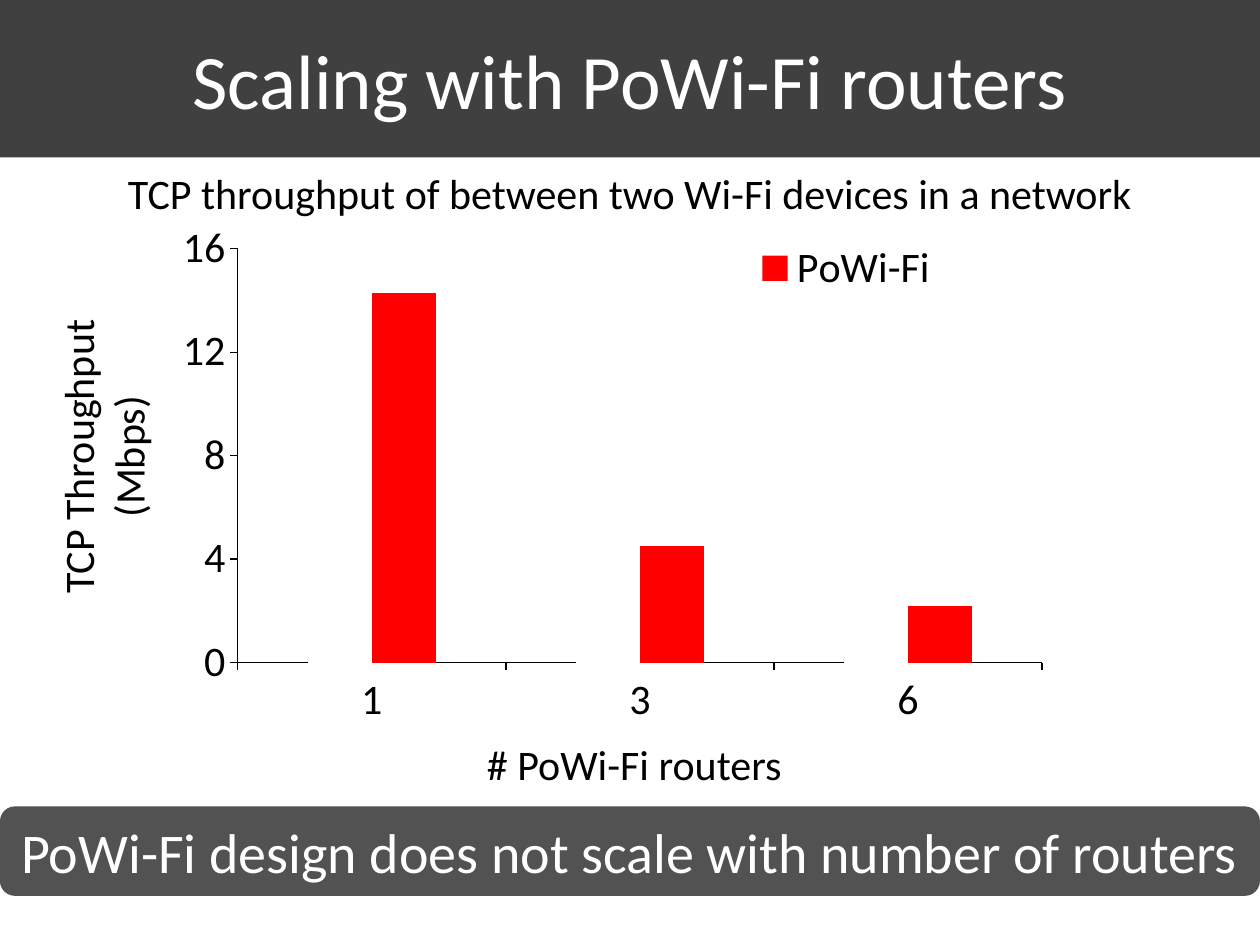
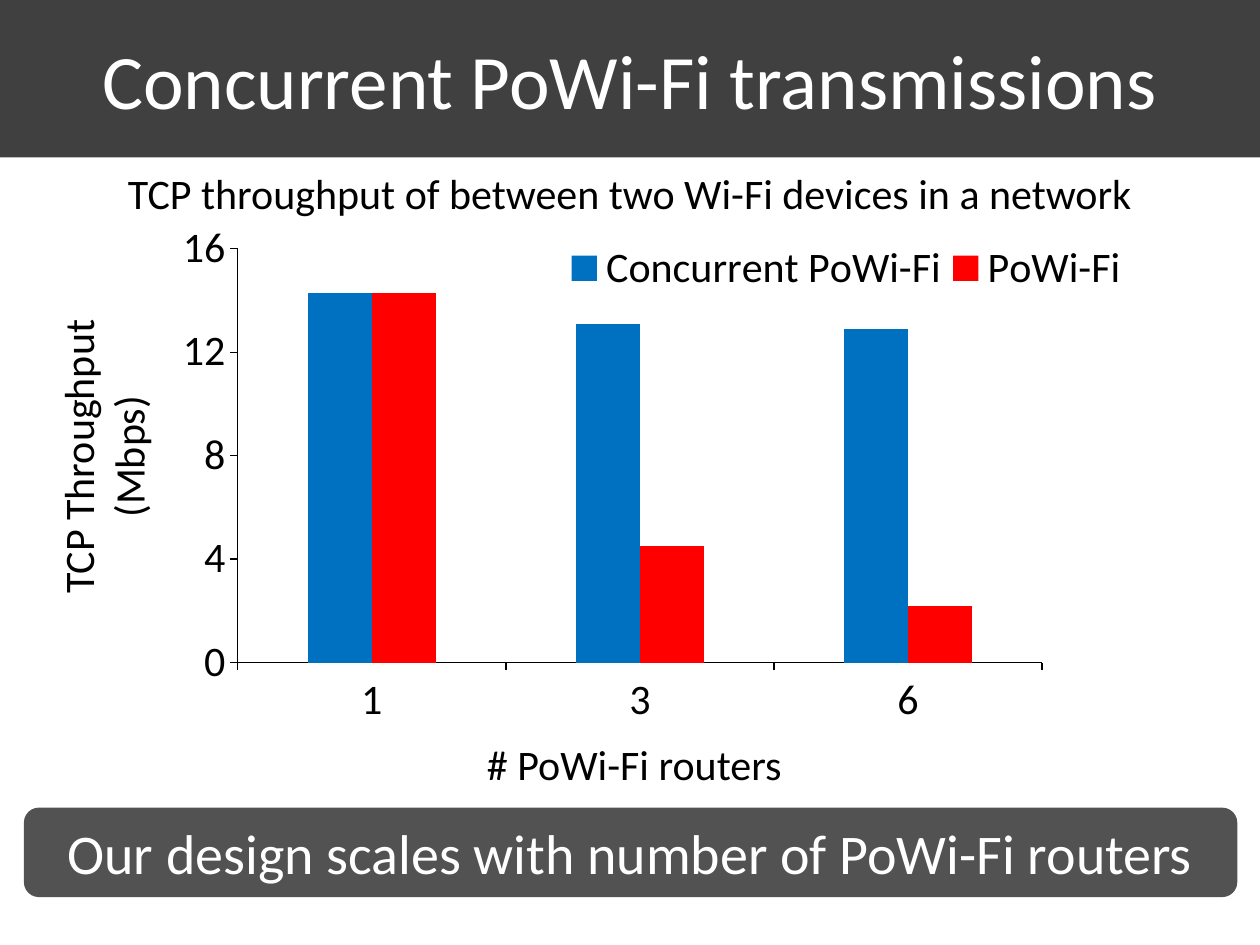
from dataclasses import dataclass

from lxml import etree
from pptx import Presentation
from pptx.chart.data import CategoryChartData
from pptx.dml.color import RGBColor
from pptx.enum.chart import XL_CHART_TYPE as ChartType
from pptx.enum.chart import XL_LEGEND_POSITION as LegendPos
from pptx.enum.chart import XL_TICK_MARK as Tick
from pptx.enum.shapes import MSO_SHAPE as Shape
from pptx.enum.text import MSO_ANCHOR as Anchor
from pptx.enum.text import MSO_AUTO_SIZE as AutoSize
from pptx.enum.text import PP_ALIGN as Align
from pptx.oxml import parse_xml
from pptx.oxml.ns import qn
from pptx.util import Emu, Pt

PX = 9144  # EMU per px, 100 px to the inch


@dataclass(frozen=True)
class Theme:
    font: str = "Calibri"
    dark: str = "404040"
    white: str = "FFFFFF"
    black: str = "000000"
    red: str = "FF0000"
    blue: str = "0070C0"
    title_pt: int = 44
    banner_pt: int = 32
    label_pt: int = 24
    chart_pt: int = 10
    axis_pt: float = 0.75
    banner_alpha: int = 90


@dataclass(frozen=True)
class Box:
    x: int
    y: int
    w: int
    h: int

    def emu(self) -> list[Emu]:
        return [Emu(v * PX) for v in (self.x, self.y, self.w, self.h)]


@dataclass(frozen=True)
class Label:
    text: str
    box: Box
    rotation: int = 0


@dataclass(frozen=True)
class Series:
    name: str
    values: tuple[float, ...]
    color: str
    in_legend: bool = True


@dataclass(frozen=True)
class ResultSlide:
    title: str
    series: tuple[Series, ...]
    takeaway: str
    banner: Box


THEME = Theme()
TITLE_BOX = Box(0, 0, 1000, 125)
CHART_BOX = Box(101, 153, 798, 444)
ROUTER_COUNTS = (1, 3, 6)

# Fractions of the chart: x, y, width, height
PLOT_AREA = (0.11, 0.1, 0.8, 0.74)
LEGEND_AREA = (0.43, 0.07, 0.57, 0.13)

LABELS = (
    Label("TCP throughput of between two Wi-Fi devices in a network", Box(0, 128, 1000, 50)),
    Label("TCP Throughput (Mbps)", Box(-77, 317, 318, 91), 270),
    Label("# PoWi-Fi routers", Box(250, 581, 507, 50)),
)

CONCURRENT = (14.3, 13.1, 12.9)
POWIFI = Series("PoWi-Fi", (14.3, 4.5, 2.2), THEME.red)

SLIDES = (
    ResultSlide(
        "Scaling with PoWi-Fi routers",
        (Series("Series 1", CONCURRENT, THEME.white, in_legend=False), POWIFI),
        "PoWi-Fi design does not scale with number of routers",
        Box(0, 640, 1000, 71),
    ),
    ResultSlide(
        "Concurrent PoWi-Fi transmissions",
        (Series("Concurrent PoWi-Fi", CONCURRENT, THEME.blue), POWIFI),
        "Our design scales with number of PoWi-Fi routers",
        Box(19, 641, 963, 71),
    ),
)


def rgb(color: str) -> RGBColor:
    return RGBColor.from_string(color)


def set_font(font, size: float, color: str) -> None:
    font.name, font.size = THEME.font, Pt(size)
    font.color.rgb = rgb(color)


def fill_solid(sp, color: str) -> None:
    sp.fill.solid()
    sp.fill.fore_color.rgb = rgb(color)
    sp.line.fill.background()


def write(sp, text: str, size: int, color: str, anchor: Anchor = Anchor.MIDDLE) -> None:
    tf = sp.text_frame
    tf.word_wrap, tf.auto_size, tf.vertical_anchor = True, AutoSize.NONE, anchor
    p = tf.paragraphs[0]
    p.alignment = Align.CENTER
    r = p.add_run()
    r.text = text
    set_font(r.font, size, color)


def add_title(slide, text: str) -> None:
    sp = slide.shapes.title
    sp.left, sp.top, sp.width, sp.height = TITLE_BOX.emu()
    fill_solid(sp, THEME.dark)
    write(sp, text, THEME.title_pt, THEME.white)


def add_label(slide, label: Label) -> None:
    sp = slide.shapes.add_textbox(*label.box.emu())
    sp.rotation = label.rotation
    write(sp, label.text, THEME.label_pt, THEME.black, Anchor.TOP)


def add_banner(slide, text: str, box: Box) -> None:
    sp = slide.shapes.add_shape(Shape.ROUNDED_RECTANGLE, *box.emu())
    sp.shadow.inherit = False
    fill_solid(sp, THEME.dark)
    clr = sp._element.spPr.find(f"{qn('a:solidFill')}/{qn('a:srgbClr')}")
    etree.SubElement(clr, qn("a:alpha"), val=str(THEME.banner_alpha * 1000))
    write(sp, text, THEME.banner_pt, THEME.white)


def chart_xml(tag: str, body: str):
    ns = "http://schemas.openxmlformats.org/drawingml/2006/chart"
    return parse_xml(f'<c:{tag} xmlns:c="{ns}">{body}</c:{tag}>')


def manual_layout(area: tuple[float, ...], target: str = ""):
    modes = '<c:xMode val="edge"/><c:yMode val="edge"/>'
    sizes = "".join(f'<c:{k} val="{v}"/>' for k, v in zip("xywh", area))
    return chart_xml("layout", f"<c:manualLayout>{target}{modes}{sizes}</c:manualLayout>")


def format_axis(axis) -> None:
    axis.has_major_gridlines = False
    axis.major_tick_mark, axis.minor_tick_mark = Tick.OUTSIDE, Tick.NONE
    axis.format.line.color.rgb = rgb(THEME.black)
    axis.format.line.width = Pt(THEME.axis_pt)
    set_font(axis.tick_labels.font, THEME.label_pt, THEME.black)


def format_legend(chart, series: tuple[Series, ...]) -> None:
    chart.has_legend = True
    legend = chart.legend
    legend.position = LegendPos.RIGHT
    legend.include_in_layout = False
    set_font(legend.font, THEME.label_pt, THEME.black)

    # Entries to drop and the layout come just before the overlay element
    overlay = legend._element.find(qn("c:overlay"))
    for old in legend._element.findall(qn("c:layout")):
        legend._element.remove(old)
    for i, s in enumerate(series):
        if not s.in_legend:
            overlay.addprevious(chart_xml("legendEntry", f'<c:idx val="{i}"/><c:delete val="1"/>'))
    overlay.addprevious(manual_layout(LEGEND_AREA))


def add_throughput_chart(slide, series: tuple[Series, ...]) -> None:
    data = CategoryChartData()
    data.categories = ROUTER_COUNTS
    for s in series:
        data.add_series(s.name, s.values)
    chart = slide.shapes.add_chart(ChartType.COLUMN_CLUSTERED, *CHART_BOX.emu(), data).chart
    chart.has_title = False
    set_font(chart.font, THEME.chart_pt, THEME.black)

    # Columns
    plot = chart.plots[0]
    plot.gap_width, plot.overlap, plot.vary_by_categories = 219, 0, False
    for column, s in zip(plot.series, series):
        column.format.fill.solid()
        column.format.fill.fore_color.rgb = rgb(s.color)
        column.invert_if_negative = False

    # Axes
    format_axis(chart.category_axis)
    axis = chart.value_axis
    format_axis(axis)
    axis.minimum_scale, axis.maximum_scale, axis.major_unit = 0, 16, 4
    axis.tick_labels.number_format = "#,##0"
    axis.tick_labels.number_format_is_linked = False

    # Plot area and legend places
    area = chart._chartSpace.find(f"{qn('c:chart')}/{qn('c:plotArea')}")
    for old in area.findall(qn("c:layout")):
        area.remove(old)
    area.insert(0, manual_layout(PLOT_AREA, '<c:layoutTarget val="inner"/>'))
    format_legend(chart, series)


def main() -> None:
    prs = Presentation()
    prs.slide_width, prs.slide_height = Emu(1000 * PX), Emu(750 * PX)
    title_only = prs.slide_layouts[5]
    for result in SLIDES:
        slide = prs.slides.add_slide(title_only)
        add_title(slide, result.title)
        add_throughput_chart(slide, result.series)
        for label in LABELS:
            add_label(slide, label)
        add_banner(slide, result.takeaway, result.banner)
    prs.save("out.pptx")


if __name__ == "__main__":
    main()
